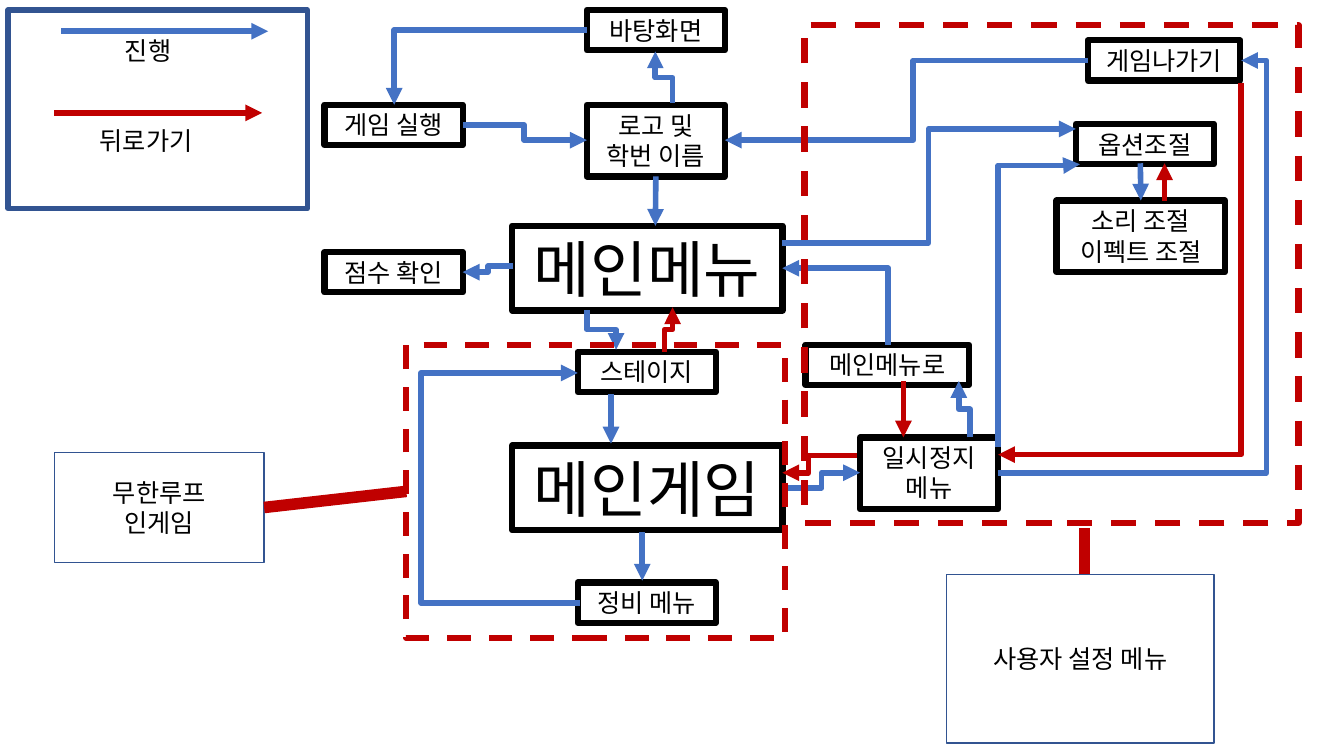
from lxml import etree
from pptx import Presentation, util as u
from pptx.dml.color import RGBColor
from pptx.enum import dml, shapes, text
from pptx.oxml import ns

THEME = {
    "font": "Noto Sans CJK KR",
    "ink": RGBColor.from_string("000000"),
    "forward": RGBColor.from_string("4472C4"),
    "back": RGBColor.from_string("C00000"),
    "navy": RGBColor.from_string("325491"),
    "body": 18,
    "title": 44,
    "box_line": 4.5,
    "route_line": 4,
}

presentation = Presentation()
presentation.slide_width = u.Inches(13.33)
presentation.slide_height = u.Inches(7.5)
slide = presentation.slides.add_slide(presentation.slide_layouts[6])


def add_box(bounds, label="", color="ink", width=THEME["box_line"], size="body", dash=False, middle=False):
    shape = slide.shapes.add_shape(shapes.MSO_SHAPE.RECTANGLE, *map(u.Inches, bounds))
    shape.shadow.inherit = False
    shape.fill.background()
    shape.line.color.rgb = THEME[color]
    shape.line.width = u.Pt(width)
    if dash:
        shape.line.dash_style = dml.MSO_LINE.DASH
    if label:
        frame = shape.text_frame
        frame.text = label
        frame.word_wrap = True
        frame.vertical_anchor = text.MSO_ANCHOR.MIDDLE if middle else text.MSO_ANCHOR.TOP
        if not middle:
            frame.auto_size = text.MSO_AUTO_SIZE.SHAPE_TO_FIT_TEXT
        for paragraph in frame.paragraphs:
            paragraph.alignment = text.PP_ALIGN.CENTER
            for run in paragraph.runs:
                run.font.name = THEME["font"]
                run.font.size = u.Pt(THEME[size])
                run.font.color.rgb = THEME["ink"]
                etree.SubElement(run.font._element, ns.qn("a:ea"), typeface=THEME["font"])
    return shape


def add_line(kind, points, color, width=THEME["route_line"], arrow=True):
    connector = slide.shapes.add_connector(kind, *map(u.Inches, points))
    connector.line.color.rgb = THEME[color]
    connector.line.width = u.Pt(width)
    properties = connector._element.spPr
    if arrow:
        etree.SubElement(properties.find(ns.qn("a:ln")), ns.qn("a:tailEnd"), type="triangle")
    etree.SubElement(properties, ns.qn("a:effectLst"))
    return connector


STRAIGHT = shapes.MSO_CONNECTOR.STRAIGHT
ELBOW = shapes.MSO_CONNECTOR.ELBOW

add_box((0.08, 0.1, 2.97, 1.97), color="navy", width=3.75)

screens = {
    "desktop": ((5.82, 0.1, 1.37, 0.4), "바탕화면", "body"),
    "launch": ((3.22, 1.04, 1.37, 0.4), "게임 실행", "body"),
    "logo": ((5.82, 1.04, 1.37, 0.71), "로고 및 학번 이름", "body"),
    "main_menu": ((5.08, 2.24, 2.68, 0.84), "메인메뉴", "title"),
    "score": ((3.22, 2.5, 1.37, 0.4), "점수 확인", "body"),
    "stage": ((5.73, 3.49, 1.37, 0.4), "스테이지", "body"),
    "main_game": ((5.08, 4.42, 2.68, 0.84), "메인게임", "title"),
    "upkeep": ((5.73, 5.78, 1.37, 0.4), "정비 메뉴", "body"),
    "pause": ((8.53, 4.34, 1.37, 0.71), "일시정지 메뉴", "body"),
    "to_main": ((7.99, 3.42, 1.62, 0.4), "메인메뉴로", "body"),
    "exit": ((10.79, 0.4, 1.51, 0.4), "게임나가기", "body"),
    "options": ((10.67, 1.23, 1.37, 0.4), "옵션조절", "body"),
    "sound": ((10.48, 1.99, 1.67, 0.71), "소리 조절\n이펙트 조절", "body"),
}
boxes = {name: add_box(bounds, label, size=size) for name, (bounds, label, size) in screens.items()}

for left, top, width, label in ((1.14, 0.3, 0.85, "진행"), (0.89, 1.19, 1.36, "뒤로가기")):
    caption = slide.shapes.add_textbox(*map(u.Inches, (left, top, width, 0.4)))
    caption.text_frame.text = label
    caption.text_frame.word_wrap = True
    run = caption.text_frame.paragraphs[0].runs[0]
    run.font.name = THEME["font"]
    run.font.size = u.Pt(THEME["body"])
    run.font.color.rgb = THEME["ink"]
    etree.SubElement(run.font._element, ns.qn("a:ea"), typeface=THEME["font"])

straight_routes = [
    ("forward", (0.61, 0.31, 2.66, 0.31)),
    ("back", (0.54, 1.12, 2.6, 1.12)),
    ("forward", (6.06, 3.91, 6.06, 4.4)),
    ("forward", (6.37, 5.28, 6.37, 5.76)),
    ("back", (11.55, 1.99, 11.55, 1.62)),
    ("back", (8.96, 3.78, 8.96, 4.34)),
]
for color, points in straight_routes:
    add_line(STRAIGHT, points, color)
add_line(STRAIGHT, (6.5, 1.75, 6.5, 2.24), "forward").begin_connect(boxes["logo"], 2)
add_line(STRAIGHT, (11.31, 1.62, 11.31, 1.99), "forward").end_connect(boxes["sound"], 0)

bent_routes = [
    ("forward", "across", (5.82, 0.3, 3.91, 1.04), "corner"),
    ("forward", "across", (4.59, 1.24, 5.82, 1.39), 5.2),
    ("forward", "down", (6.67, 1.02, 6.5, 0.51), 0.77),
    ("forward", "across", (10.79, 0.6, 7.19, 1.39), 9.06),
    ("forward", "across", (7.76, 2.41, 10.67, 1.28), 9.21),
    ("forward", "across", (5.09, 2.64, 4.59, 2.7), 4.84),
    ("forward", "down", (5.82, 3.08, 6.11, 3.47), 3.27),
    ("back", "down", (6.59, 3.49, 6.67, 3.05), 3.27),
    ("forward", "across", (5.75, 5.98, 5.73, 3.7), 4.18),
    ("forward", "down", (8.81, 3.42, 7.76, 2.66), "corner"),
    ("forward", "down", (9.62, 4.34, 9.51, 3.78), 4.06),
    ("forward", "across", (7.76, 4.84, 8.53, 4.69), 8.15),
    ("back", "across", (8.5, 4.52, 7.76, 4.69), 8.02),
    ("forward", "down", (9.9, 4.44, 10.71, 1.63), 1.64),
    ("forward", "across", (9.9, 4.69, 12.31, 0.6), 12.56),
    ("back", "down", (12.31, 0.82, 9.9, 4.51), 4.51),
]
for color, direction, (x1, y1, x2, y2), bend in bent_routes:
    points, start, end = (x1, y1, x2, y2), x1, x2
    if direction == "down":
        center_x, center_y = (x1 + x2) / 2, (y1 + y2) / 2
        half_x, half_y = (x2 - x1) / 2, (y2 - y1) / 2
        points = (center_x - half_y, center_y + half_x, center_x + half_y, center_y - half_x)
        start, end = y1, y2
    properties = add_line(ELBOW, points, color)._element.spPr
    if direction == "down":
        properties.find(ns.qn("a:xfrm")).set("rot", "5400000")
    geometry = properties.find(ns.qn("a:prstGeom"))
    if bend == "corner":
        geometry.set("prst", "bentConnector2")
    else:
        ratio = round((bend - start) / (end - start) * 100000)
        adjustments = geometry.find(ns.qn("a:avLst"))
        etree.SubElement(adjustments, ns.qn("a:gd"), name="adj1", fmla=f"val {ratio}")

loop_frame = add_box((4.03, 3.42, 3.76, 2.91), color="back", width=4.25, dash=True)
add_box((7.98, 0.25, 4.9, 4.94), color="back", dash=True)
loop_note = add_box((0.54, 4.49, 2.08, 1.09), "무한루프\n인게임", "navy", 1, middle=True)
add_box((9.39, 5.7, 2.65, 1.67), "사용자 설정 메뉴", "navy", 1, middle=True)

loop_link = add_line(STRAIGHT, (4.03, 4.87, 2.62, 5.05), "back", 8.25, arrow=False)
loop_link.begin_connect(loop_frame, 1)
loop_link.end_connect(loop_note, 3)
add_line(STRAIGHT, (10.76, 5.69, 10.76, 5.24), "back", 7.75, arrow=False)

presentation.save("out.pptx")
